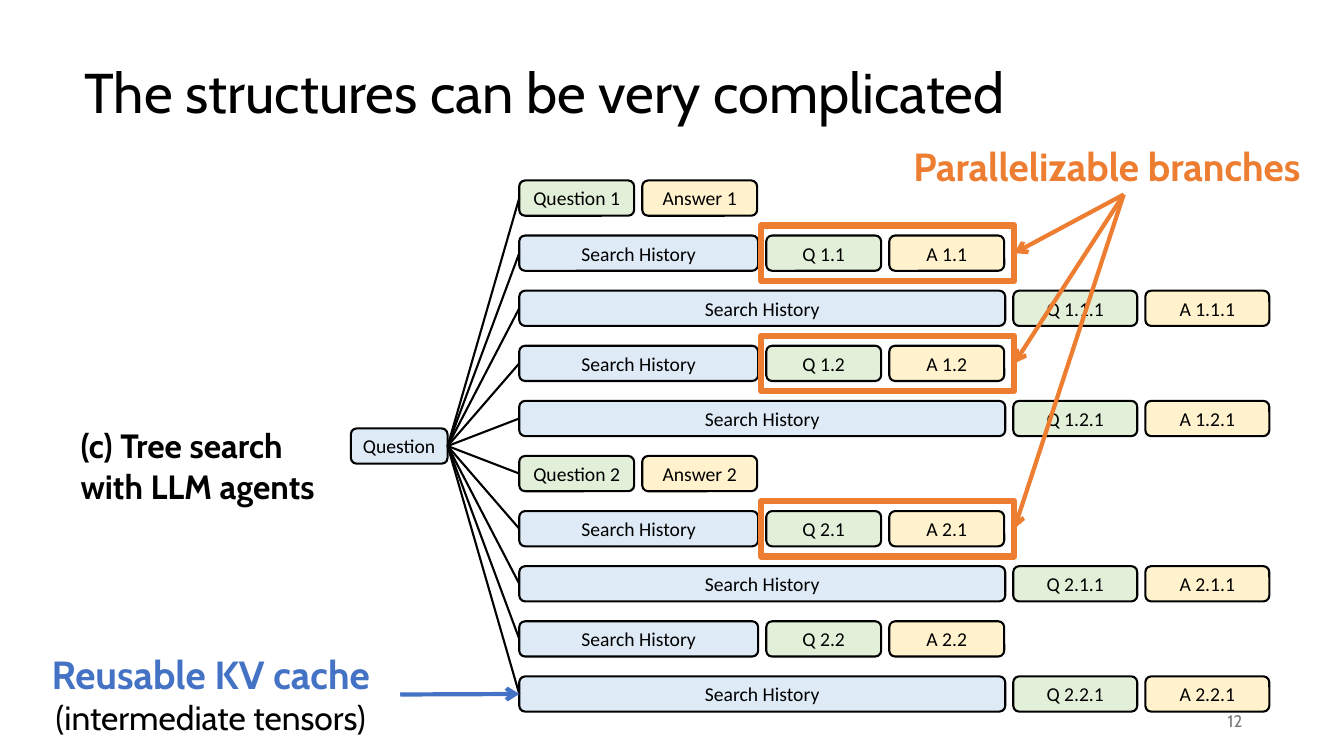
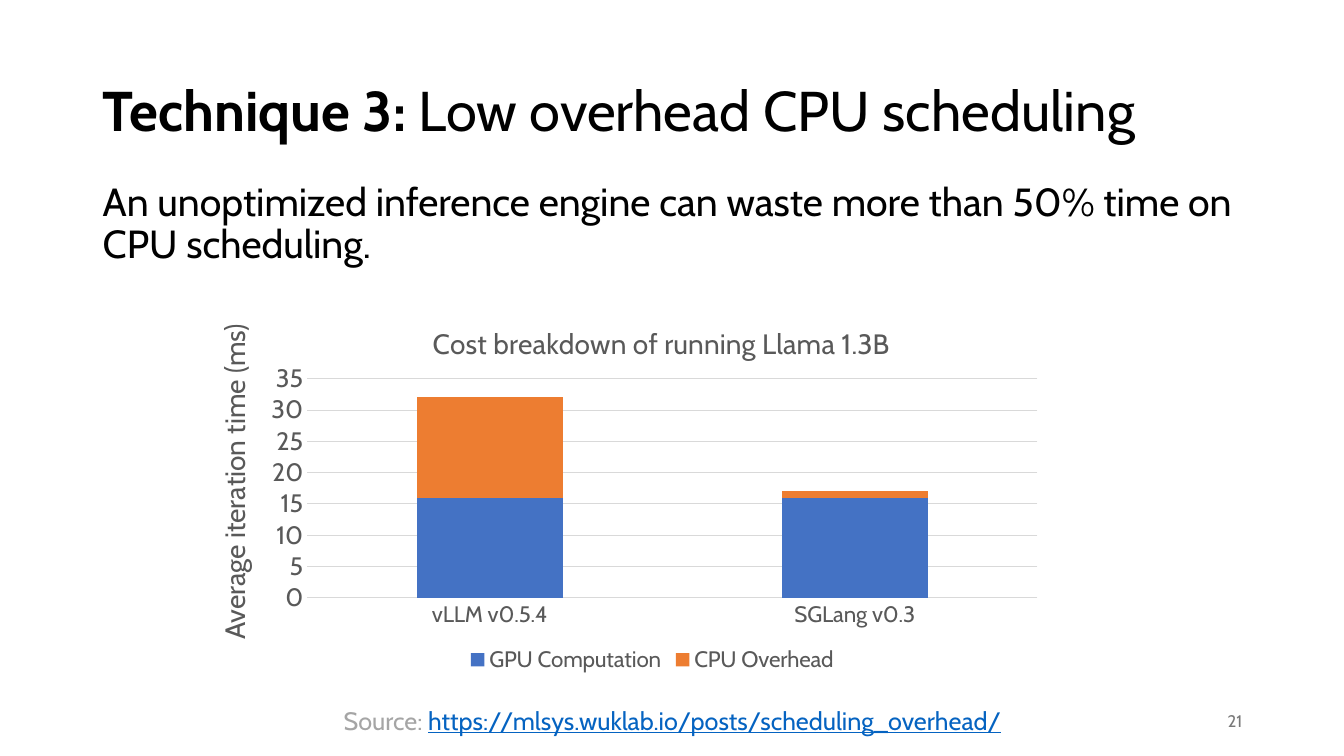
from lxml.etree import SubElement
from pptx import Presentation
from pptx.chart.data import CategoryChartData
from pptx.dml.color import RGBColor
from pptx.enum.chart import XL_CHART_TYPE as ChartType
from pptx.enum.chart import XL_LEGEND_POSITION as LegendPosition
from pptx.enum.chart import XL_TICK_MARK as TickMark
from pptx.enum.shapes import MSO_CONNECTOR as Connector
from pptx.enum.shapes import MSO_SHAPE as Shape
from pptx.enum.text import MSO_ANCHOR as Anchor
from pptx.enum.text import PP_ALIGN as Align
from pptx.oxml import parse_xml
from pptx.oxml.ns import nsdecls, qn
from pptx.util import Inches, Pt

BLACK = RGBColor(0x00, 0x00, 0x00)
WHITE = RGBColor(0xFF, 0xFF, 0xFF)
PALE_BLUE = RGBColor(0xDE, 0xEB, 0xF7)
PALE_GREEN = RGBColor(0xE2, 0xF0, 0xD9)
PALE_YELLOW = RGBColor(0xFF, 0xF2, 0xCC)
BLUE = RGBColor(0x44, 0x72, 0xC4)
ORANGE = RGBColor(0xED, 0x7D, 0x31)
LINK_BLUE = RGBColor(0x05, 0x63, 0xC1)
PAGE_GRAY = RGBColor(0x79, 0x79, 0x79)
CHART_GRAY = RGBColor(0x59, 0x59, 0x59)
SOURCE_GRAY = RGBColor(0xA5, 0xA5, 0xA5)
GRID_GRAY = RGBColor(0xD9, 0xD9, 0xD9)
MAIN_FONT, BOX_FONT = "Cabin", "Calibri"
BOTTOM, LEFT, RIGHT = 2, 1, 3  # connection sites of a rectangle


class Deck:
    """Holds the shared style and the slide being built."""

    def __init__(self):
        self.presentation = Presentation()
        self.presentation.slide_width = Inches(13.33)
        self.presentation.slide_height = Inches(7.5)
        self.slide = None

    def new_slide(self, number):
        layout = self.presentation.slide_layouts[6]
        self.slide = self.presentation.slides.add_slide(layout)
        self.text(str(number), 9.42, 6.95, 3, 0.4, 12, PAGE_GRAY,
                  align=Align.RIGHT, anchor=Anchor.MIDDLE)

    def style(self, font, size, color, bold=False, name=MAIN_FONT):
        font.name, font.size, font.bold = name, Pt(size), bold
        font.color.rgb = color

    def label(self, shape, content, size, color, bold=False, name=MAIN_FONT,
              align=Align.LEFT, anchor=Anchor.TOP, wrap=True, spacing=None):
        frame = shape.text_frame
        frame.text = content
        frame.word_wrap, frame.vertical_anchor = wrap, anchor
        for paragraph in frame.paragraphs:
            paragraph.alignment = align
            paragraph.line_spacing = spacing
            for run in paragraph.runs:
                self.style(run.font, size, color, bold, name)

    def text(self, content, x, y, w, h, size, color, **options):
        box = self.slide.shapes.add_textbox(
            Inches(x), Inches(y), Inches(w), Inches(h))
        self.label(box, content, size, color, **options)
        return box

    def more(self, shape, content, size, color):
        run = shape.text_frame.paragraphs[0].add_run()
        run.text = content
        self.style(run.font, size, color)
        return run

    def title(self, content, x, y, bold=False):
        return self.text(content, x, y, 11.5, 1.45, 40, BLACK, bold=bold,
                         anchor=Anchor.MIDDLE, spacing=0.9)

    def shape(self, kind, x, y, w, h, fill=None, line=None, width=1.5):
        shape = self.slide.shapes.add_shape(
            kind, Inches(x), Inches(y), Inches(w), Inches(h))
        shape.shadow.inherit = False
        if fill is None:
            shape.fill.background()
        else:
            shape.fill.solid()
            shape.fill.fore_color.rgb = fill
        if line is None:
            shape.line.fill.background()
        else:
            shape.line.color.rgb = line
            shape.line.width = Pt(width)
        return shape

    def node(self, content, x, y, w, h, fill):
        node = self.shape(Shape.ROUNDED_RECTANGLE, x, y, w, h, fill, BLACK)
        self.label(node, content, 14, BLACK, name=BOX_FONT,
                   align=Align.CENTER, anchor=Anchor.MIDDLE)
        return node

    def connect(self, start, start_site, end, end_site, color, width,
                arrow=False):
        line = self.slide.shapes.add_connector(Connector.STRAIGHT, 0, 0, 0, 0)
        line.begin_connect(start, start_site)
        line.end_connect(end, end_site)
        line.line.color.rgb = color
        line.line.width = Pt(width)
        properties = line.element.spPr
        if arrow:
            SubElement(properties.find(qn("a:ln")), qn("a:tailEnd"), type="arrow")
        SubElement(properties, qn("a:effectLst"))

    def stacked_columns(self, title, categories, series, x, y, w, h):
        data = CategoryChartData()
        data.categories = categories
        for name, values, _ in series:
            data.add_series(name, values)
        chart = self.slide.shapes.add_chart(
            ChartType.COLUMN_STACKED, Inches(x), Inches(y), Inches(w),
            Inches(h), data).chart
        self.style(chart.font, 10, BLACK)
        chart.has_title = True
        chart.chart_title.text_frame.text = title
        heading = chart.chart_title.text_frame.paragraphs[0].runs[0]
        self.style(heading.font, 20, CHART_GRAY)
        chart.has_legend = True
        chart.legend.position = LegendPosition.BOTTOM
        chart.legend.include_in_layout = False
        self.style(chart.legend.font, 16, CHART_GRAY)

        plot = chart.plots[0]
        plot.gap_width, plot.overlap = 150, 100
        plot.vary_by_categories = False
        for column, (_, _, color) in zip(plot.series, series):
            column.format.fill.solid()
            column.format.fill.fore_color.rgb = color

        for axis, size in ((chart.category_axis, 16), (chart.value_axis, 18)):
            axis.major_tick_mark = axis.minor_tick_mark = TickMark.NONE
            self.style(axis.tick_labels.font, size, CHART_GRAY)
        for line in (chart.category_axis.format.line,
                     chart.value_axis.major_gridlines.format.line):
            line.color.rgb = GRID_GRAY
            line.width = Pt(0.75)
        chart.value_axis.format.line.fill.background()
        return chart


def place(element, **fractions):
    """Give a chart part a fixed place, in fractions of the chart."""
    for old in element.findall(qn("c:layout")):
        element.remove(old)
    target = '<c:layoutTarget val="inner"/>' if "w" in fractions else ""
    modes = '<c:xMode val="edge"/><c:yMode val="edge"/>'
    values = "".join(f'<c:{k} val="{v}"/>' for k, v in fractions.items())
    layout = parse_xml(f'<c:layout {nsdecls("c")}><c:manualLayout>{target}'
                       f'{modes}{values}</c:manualLayout></c:layout>')
    rich_text = element.find(qn("c:tx"))
    element.insert(0 if rich_text is None else 1, layout)


def tree_slide(deck):
    deck.new_slide(12)
    deck.title("The structures can be very complicated", 0.74, 0.22)

    # Tree: one row per search step, deeper steps start further right
    steps = ["1", "1.1", "1.1.1", "1.2", "1.2.1",
             "2", "2.1", "2.1.1", "2.2", "2.2.1"]
    parallel = {"1.1", "1.2", "2.1"}
    top, pitch, height, gap = 1.79, 4.92 / 9, 0.35, 0.08
    starts, widths = [5.15, 7.6, 10.05], [1.14, 1.14, 1.23]
    root = deck.node("Question", 3.48, 4.25, 0.96, height, PALE_BLUE)
    row_heads, branch_places = [], []
    for index, step in enumerate(steps):
        y, depth = top + index * pitch, step.count(".")
        x, width = starts[depth], widths[depth]
        question, answer = ("Q", "A") if depth else ("Question", "Answer")
        cells = [(f"{question} {step}", x, width, PALE_GREEN),
                 (f"{answer} {step}", x + width + gap, width, PALE_YELLOW)]
        if depth:
            history_width = x - gap - starts[0]
            cells.insert(0, ("Search History", starts[0], history_width, PALE_BLUE))
        row = [deck.node(content, left, y, w, height, fill)
               for content, left, w, fill in cells]
        row_heads.append(row[0])
        if step in parallel:
            branch_places.append((x - 0.05, y - 0.1))
    for head in row_heads:
        deck.connect(head, LEFT, root, RIGHT, BLACK, 1.5)

    # Reusable cache callout
    cache = deck.shape(Shape.RECTANGLE, 0.21, 6.4, 3.76, 0.98, WHITE)
    deck.label(cache, "Reusable KV cache\n(intermediate tensors)", 28, BLUE,
               bold=True, align=Align.CENTER)
    tensors = cache.text_frame.paragraphs[1].runs[0]
    deck.style(tensors.font, 24, BLACK)
    deck.connect(cache, RIGHT, row_heads[-1], LEFT, BLUE, 3, arrow=True)

    deck.text("(c) Tree search\nwith LLM agents", 0.7, 4.17, 2.65, 0.91,
              24, BLACK, bold=True, wrap=False)

    # Parallel branches callout
    branches = deck.shape(Shape.RECTANGLE, 8.96, 1.36, 4.37, 0.57, WHITE)
    deck.label(branches, "Parallelizable branches", 28, ORANGE, bold=True,
               wrap=False)
    for x, y in branch_places:
        frame = deck.shape(Shape.RECTANGLE, x, y, 2.51, 0.55,
                           line=ORANGE, width=4.5)
        deck.connect(branches, BOTTOM, frame, RIGHT, ORANGE, 3, arrow=True)


def scheduling_slide(deck):
    deck.new_slide(21)
    title = deck.title("Technique 3: ", 0.92, 0.4, bold=True)
    deck.more(title, "Low overhead CPU scheduling", 40, BLACK)
    deck.text("An unoptimized inference engine can waste more than 50% time "
              "on CPU scheduling.", 0.92, 1.76, 11.5, 1, 28, BLACK, spacing=0.9)

    # Source line
    source = deck.text("Source: ", 0.99, 6.88, 11.36, 0.48, 18, SOURCE_GRAY,
                       align=Align.CENTER, spacing=1.15)
    frame = source.text_frame
    frame.margin_left = frame.margin_right = Inches(0.13)
    frame.margin_top = frame.margin_bottom = Inches(0.07)
    address = deck.more(
        source, "https://mlsys.wuklab.io/posts/scheduling_overhead/", 18, LINK_BLUE)
    address.font.underline = True

    # Cost chart
    costs = deck.stacked_columns(
        "Cost breakdown of running Llama 1.3B",
        ["vLLM v0.5.4", "SGLang v0.3"],
        [("GPU Computation", (16, 16), BLUE), ("CPU Overhead", (16, 1), ORANGE)],
        2.49, 2.97, 7.96, 3.75)
    costs.value_axis.minimum_scale = 0
    costs.value_axis.maximum_scale = 35
    costs.value_axis.major_unit = 5
    chart_title = costs.element.find(qn("c:chart")).find(qn("c:title"))
    plot_area = costs.element.find(qn("c:chart")).find(qn("c:plotArea"))
    place(chart_title, x=0.22, y=0.05)
    place(plot_area, x=0.07, y=0.21, w=0.91, h=0.58)
    axis_label = deck.text("Average iteration time (ms)", 0.62, 4.52, 3.41, 0.44,
                           20, CHART_GRAY, wrap=False)
    axis_label.rotation = 270


def main():
    deck = Deck()
    tree_slide(deck)
    scheduling_slide(deck)
    deck.presentation.save("out.pptx")


if __name__ == "__main__":
    main()
